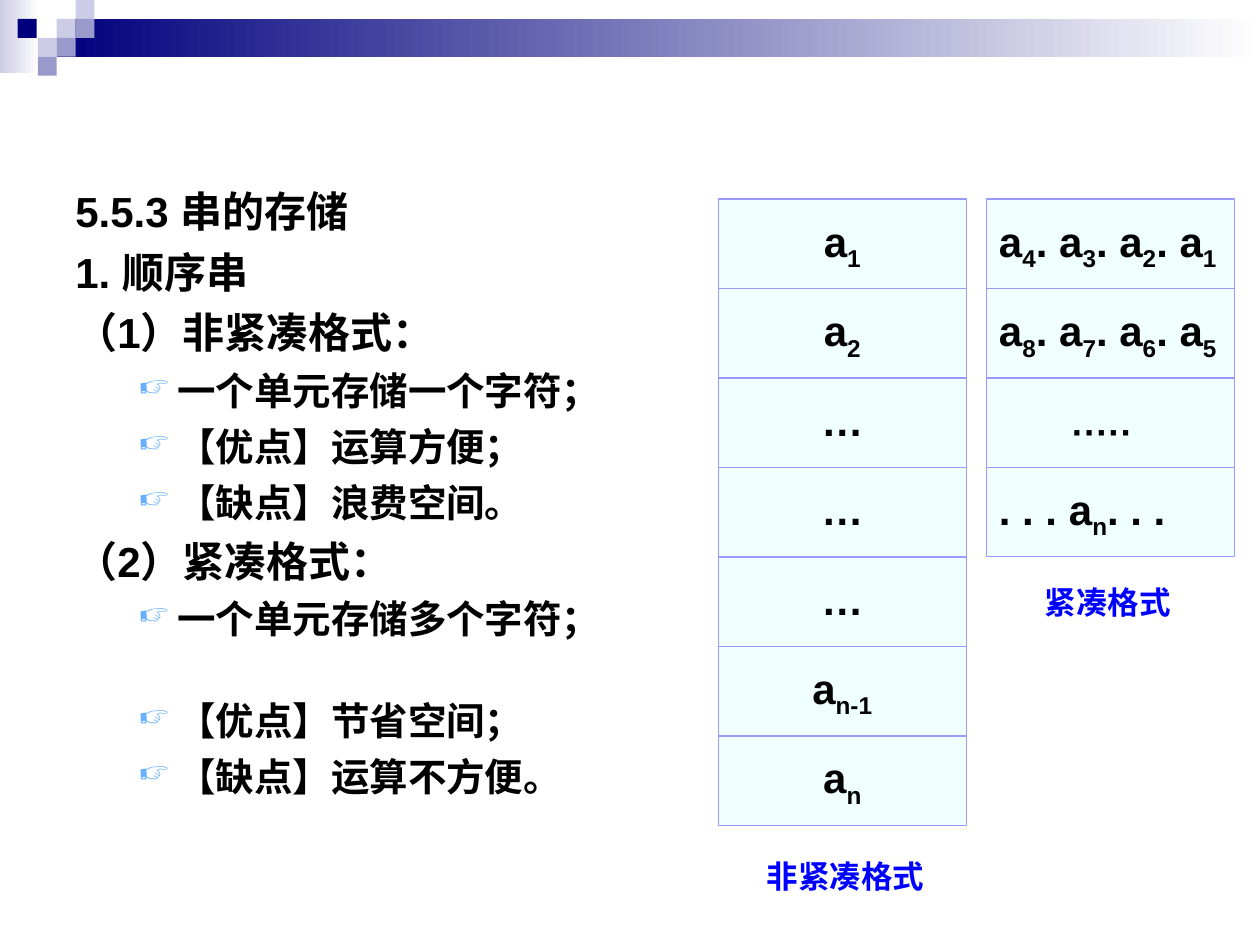
"""Build a slide on sequential string storage, loose and packed."""
from lxml import etree
from pptx import Presentation, util as u
from pptx.dml.color import RGBColor
from pptx.enum import shapes, text
from pptx.oxml import ns

NAVY = RGBColor(0x00, 0x00, 0x7D)
PALE = RGBColor(0xCC, 0xCC, 0xE6)
MID = RGBColor(0x99, 0x99, 0xCC)
WHITE = RGBColor(0xFF, 0xFF, 0xFF)
AZURE = RGBColor(0xF0, 0xFF, 0xFF)
EDGE = RGBColor(0x99, 0x99, 0xFF)
BLACK = RGBColor(0x00, 0x00, 0x00)
BLUE = RGBColor(0x00, 0x00, 0xFF)
SKY = RGBColor(0x67, 0xAF, 0xFF)

BANDS = [((0, 0, 0.31, 0.58), PALE), ((0.45, 0.15, 9.55, 0.3), NAVY)]
TILES = [(0.45, 0.15, PALE), (0.6, 0, PALE), (0.6, 0.15, MID),
         (0.3, 0.3, PALE), (0.14, 0.15, NAVY), (0.45, 0.3, MID),
         (0.3, 0.45, MID)]
TILE = 0.15

OUTLINE = [
    (0, "5.5.3 串的存储", 6),
    (0, "1. 顺序串", 6),
    (0, "（1）非紧凑格式：", 6),
    (1, "一个单元存储一个字符；", 5.5),
    (1, "【优点】运算方便；", 5.5),
    (1, "【缺点】浪费空间。", 5.5),
    (0, "（2）紧凑格式：", 6),
    (1, "一个单元存储多个字符；", 5.5),
    (1, "【优点】节省空间；", 31.7),
    (1, "【缺点】运算不方便。", 5.5),
]
LEVELS = [(24, 0.38, -0.38), (22, 0.81, -0.31)]

DOTS = "·····"
LOOSE = [("a", "1"), ("a", "2"), ("…",), ("…",), ("…",),
         ("a", "n-1"), ("a", "n")]
PACKED = [("a", "4", ". a", "3", ". a", "2", ". a", "1"),
          ("a", "8", ". a", "7", ". a", "6", ". a", "5"),
          ("", DOTS),
          (". . . a", "n", ". . .")]
STACKS = [(7.83, PACKED, text.PP_ALIGN.LEFT),
          (5.7, LOOSE, text.PP_ALIGN.CENTER)]
TOP, WIDE, HIGH = 1.58, 1.97, 0.71
LABELS = [("非紧凑格式", 5.75, 6.75), ("紧凑格式", 7.83, 4.58)]


def add_run(para, words, size, color=BLACK, sub=False):
    """Add one bold run."""
    run = para.add_run()
    run.text = words
    font = run.font
    font.name, font.size, font.bold = "Arial", u.Pt(size), True
    font.color.rgb = color
    if sub:
        run._r.get_or_add_rPr().set("baseline", "-25000")


def add_rect(slide, box, color, fade=False):
    """Add a plain or fading rectangle without a line."""
    rect = slide.shapes.add_shape(shapes.MSO_SHAPE.RECTANGLE,
                                  *map(u.Inches, box))
    rect.shadow.inherit = False
    rect.line.fill.background()
    if fade:
        rect.fill.gradient()
        rect.fill.gradient_angle = 0
        for stop, tone in zip(rect.fill.gradient_stops, (color, WHITE)):
            stop.color.rgb = tone
    else:
        rect.fill.solid()
        rect.fill.fore_color.rgb = color
    return rect


def add_box(slide, *box):
    """Add a wrapping text frame."""
    frame = slide.shapes.add_textbox(*map(u.Inches, box)).text_frame
    frame.word_wrap = True
    return frame


def indent(para, left, first=0):
    """Set the left margin and first-line indent."""
    props = para._p.get_or_add_pPr()
    props.set("marL", str(u.Inches(left)))
    props.set("indent", str(u.Inches(first)))
    return props


def add_bullet(props):
    """Add the pointing-hand bullet."""
    tint = etree.SubElement(props, ns.qn("a:buClr"))
    etree.SubElement(tint, ns.qn("a:srgbClr"), val=str(SKY))
    etree.SubElement(props, ns.qn("a:buSzPct"), val="80000")
    etree.SubElement(props, ns.qn("a:buChar"), char="☞")


def add_outline(slide):
    """Write the outline at the left."""
    frame = add_box(slide, 0.5, 1.42, 4.42, 5.33)
    for i, (level, words, gap) in enumerate(OUTLINE):
        para = frame.add_paragraph() if i else frame.paragraphs[0]
        size, left, first = LEVELS[level]
        props = indent(para, left, first)
        if level:
            add_bullet(props)
        para.level = level
        if i:
            para.space_before = u.Pt(gap)
        add_run(para, words, size)


def add_cell(slide, left, top, parts, align):
    """Add a memory cell whose parts alternate base and subscript."""
    cell = add_rect(slide, (left, top, WIDE, HIGH), AZURE)
    cell.line.color.rgb = EDGE
    cell.line.width = u.Pt(0.75)
    frame = cell.text_frame
    frame.word_wrap = False
    frame.vertical_anchor = text.MSO_ANCHOR.MIDDLE
    para = frame.paragraphs[0]
    para.alignment = align
    dots = DOTS in parts
    if dots:
        indent(para, 0.58)
        frame.margin_right, frame.margin_bottom = u.Inches(0.06), u.Inches(0.21)
    if dots or parts == ("…",):
        frame.margin_top = 0
    for i, part in enumerate(parts):
        if part:
            add_run(para, part, 36 if dots else 24, sub=i % 2 == 1)


def main():
    """Assemble and save the slide."""
    deck = Presentation()
    deck.slide_width, deck.slide_height = u.Inches(10), u.Inches(7.5)
    slide = deck.slides.add_slide(deck.slide_layouts[6])
    for box, color in BANDS:
        add_rect(slide, box, color, fade=True)
    for left, top, color in TILES:
        add_rect(slide, (left, top, TILE, TILE), color)
    add_outline(slide)
    for left, cells, align in STACKS:
        for row, parts in enumerate(cells):
            add_cell(slide, left, TOP + row * HIGH, parts, align)
    for words, left, top in LABELS:
        para = add_box(slide, left, top, 1.92, 0.4).paragraphs[0]
        para.alignment = text.PP_ALIGN.CENTER
        add_run(para, words, 18, BLUE)
    deck.save("out.pptx")


if __name__ == "__main__":
    main()
